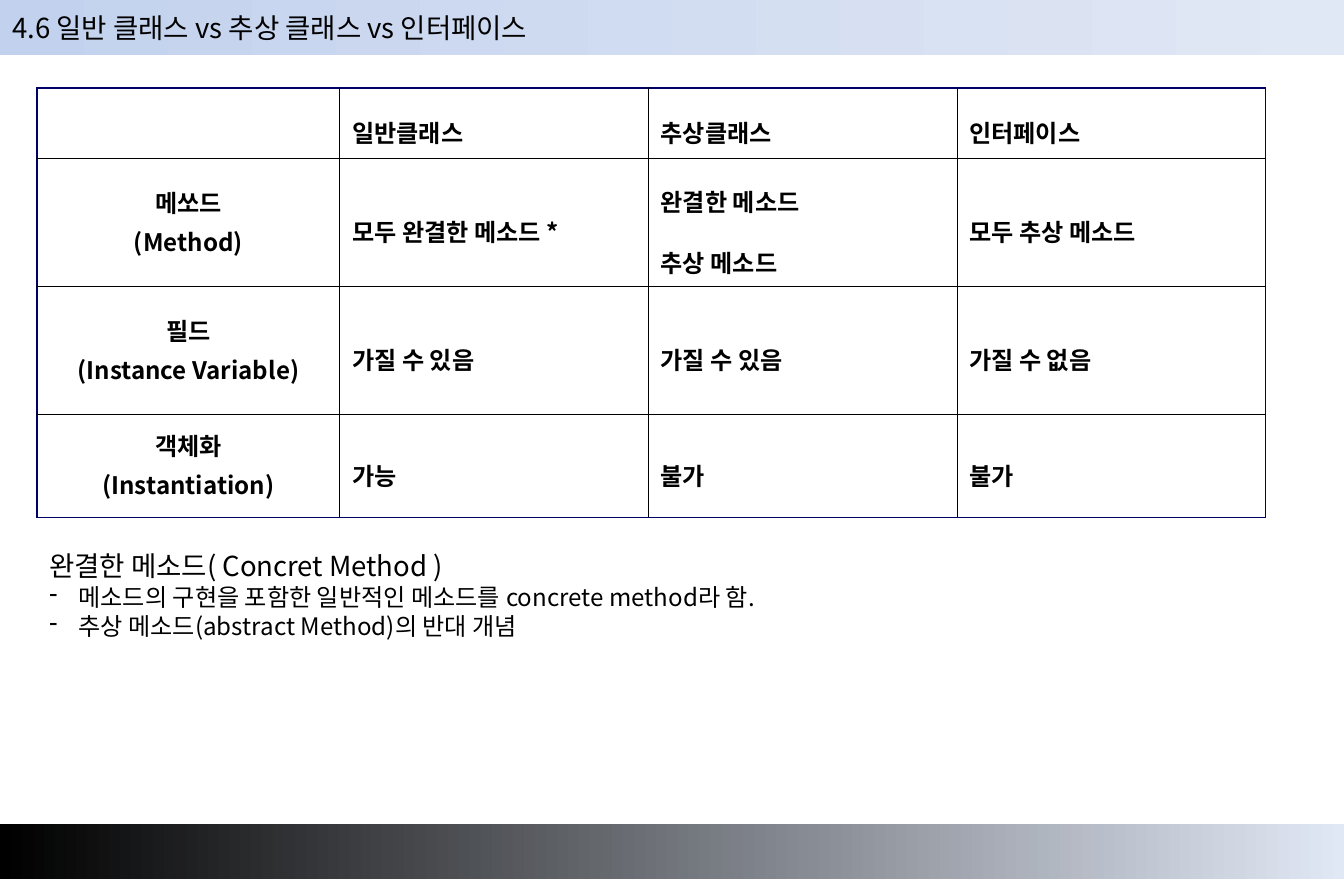
"""Builds a slide comparing classes, abstract classes and interfaces."""
from lxml import etree
from pptx import Presentation
from pptx.dml.color import RGBColor
from pptx.enum.shapes import MSO_SHAPE
from pptx.enum.text import MSO_ANCHOR, MSO_AUTO_SIZE, PP_ALIGN
from pptx.oxml.ns import qn
from pptx.util import Cm, Pt

RECT = MSO_SHAPE.RECTANGLE
MIDDLE = MSO_ANCHOR.MIDDLE
FIXED = MSO_AUTO_SIZE.NONE
LEFT, CENTER = PP_ALIGN.LEFT, PP_ALIGN.CENTER
FONT = "Noto Sans CJK KR"
BLACK, WHITE, NAVY, PALE = "000000", "FFFFFF", "000066", "E1E8F5"


def color(code):
    return RGBColor.from_string(code)


def style(para, size, bold=False):
    for run in para.runs:
        run.font.size = Pt(size)
        run.font.bold = bold
        run.font.color.rgb = color(BLACK)
        run.font.name = FONT
        etree.SubElement(run.font._element, qn("a:ea"), typeface=FONT)


deck = Presentation()
deck.slide_width, deck.slide_height = Cm(27.53), Cm(18.01)
slide = deck.slides.add_slide(deck.slide_layouts[5])
shapes = slide.shapes
title = shapes.title

for top, start in [(0, "C2D1ED"), (16.89, BLACK)]:
    bar = shapes.add_shape(RECT, 0, Cm(top), deck.slide_width, Cm(1.12))
    bar.shadow.inherit = False
    bar.line.fill.background()
    bar.fill.gradient()
    bar.fill.gradient_angle = 0
    for stop, code in zip(bar.fill.gradient_stops, [start, PALE]):
        stop.color.rgb = color(code)

shapes._spTree.append(title._element)
title.left, title.top = Cm(0), Cm(0.1)
title.width, title.height = Cm(27.48), Cm(0.94)
frame = title.text_frame
frame.text = "4.6 일반 클래스 vs 추상 클래스 vs 인터페이스"
frame.auto_size = FIXED
frame.vertical_anchor = MIDDLE
frame.paragraphs[0].alignment = LEFT
style(frame.paragraphs[0], 16)

rows = [
    ["", "일반클래스", "추상클래스", "인터페이스"],
    ["메쏘드\n(Method)", "모두 완결한 메소드 *", "완결한 메소드\n추상 메소드", "모두 추상 메소드"],
    ["필드\n(Instance Variable)", "가질 수 있음", "가질 수 있음", "가질 수 없음"],
    ["객체화\n(Instantiation)", "가능", "불가", "불가"],
]
widths = [6.2, 6.32, 6.32, 6.32]
heights = [1.45, 2.62, 2.62, 2.11]
table = shapes.add_table(4, 4, Cm(0.76), Cm(1.8), Cm(sum(widths)), Cm(sum(heights))).table
table.first_row = table.horz_banding = False
for col, width in zip(table.columns, widths):
    col.width = Cm(width)
for row, height in zip(table.rows, heights):
    row.height = Cm(height)

for r, row in enumerate(rows):
    for c, text in enumerate(row):
        cell = table.cell(r, c)
        cell.vertical_anchor = MIDDLE
        props = cell._tc.get_or_add_tcPr()
        edges = {"lnL": c == 0, "lnR": c == 3, "lnT": r == 0, "lnB": r == 3}
        for side, outer in edges.items():
            line = etree.SubElement(props, qn("a:" + side), w=str(Pt(1.08 if outer else 0.45)))
            paint = etree.SubElement(line, qn("a:solidFill"))
            etree.SubElement(paint, qn("a:srgbClr"), val=NAVY if outer else BLACK)
        cell.fill.solid()
        cell.fill.fore_color.rgb = color(WHITE)
        cell.text_frame.text = text
        for n, para in enumerate(cell.text_frame.paragraphs):
            para.alignment = LEFT if c else CENTER
            para.line_spacing = 1.5 if c else 0.9
            if n:
                para.space_before = Pt(4.4)
            style(para, 14, True)

note = shapes.add_textbox(Cm(0.76), Cm(11.13), Cm(25.2), Cm(2.13)).text_frame
note.word_wrap = True
note.text = (
    "완결한 메소드( Concret Method )\n"
    "메소드의 구현을 포함한 일반적인 메소드를 concrete method라 함.\n"
    "추상 메소드(abstract Method)의 반대 개념"
)
head, *points = note.paragraphs
style(head, 16)
for para in points:
    props = para._p.get_or_add_pPr()
    props.set("marL", str(Cm(0.6)))
    props.set("indent", str(-Cm(0.6)))
    tint = etree.SubElement(props, qn("a:buClr"))
    etree.SubElement(tint, qn("a:srgbClr"), val=BLACK)
    etree.SubElement(props, qn("a:buChar"), char="-")
    style(para, 14)

deck.save("out.pptx")
